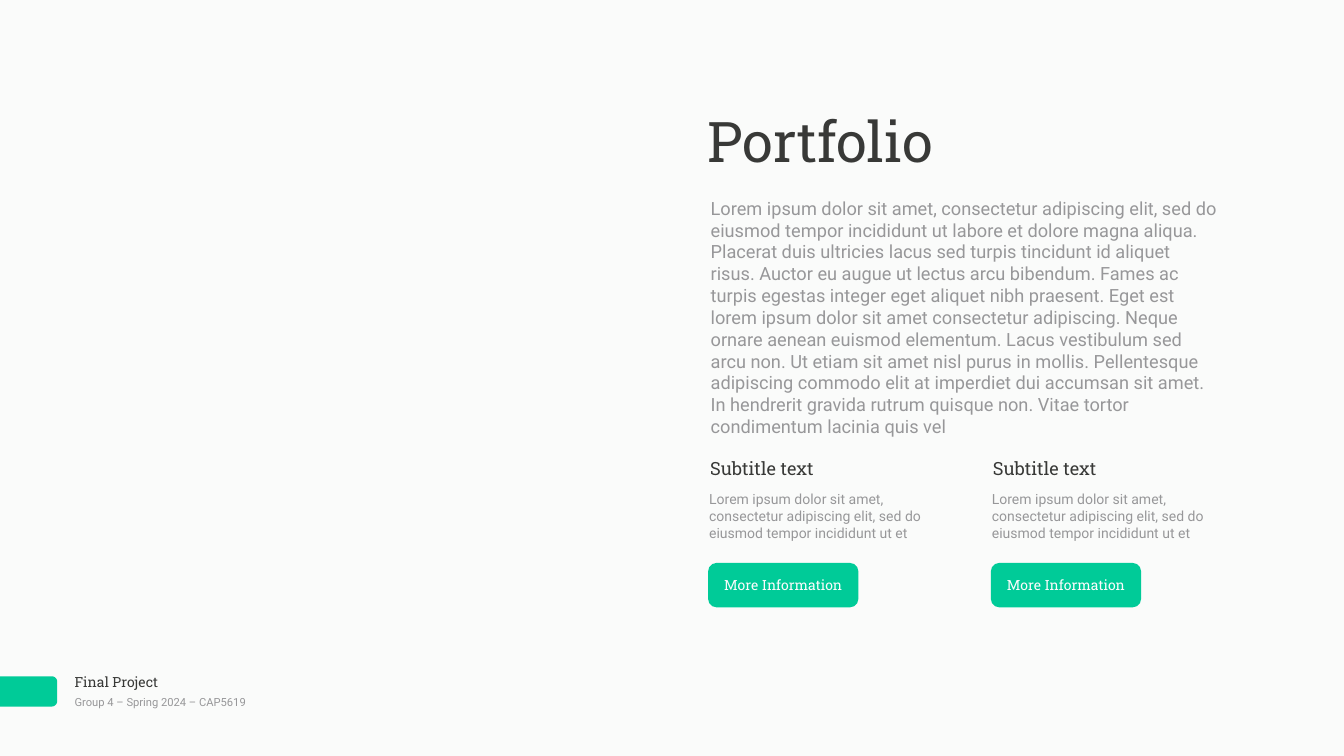
from dataclasses import dataclass
from math import cos, pi, sin

from pptx import Presentation
from pptx.dml.color import RGBColor
from pptx.enum.shapes import MSO_SHAPE
from pptx.enum.text import MSO_ANCHOR, MSO_AUTO_SIZE, PP_ALIGN
from pptx.util import Pt


@dataclass(frozen=True)
class Theme:
    background: RGBColor = RGBColor(0xFA, 0xFB, 0xFA)
    accent: RGBColor = RGBColor(0x00, 0xCB, 0x98)
    dark: RGBColor = RGBColor(0x38, 0x39, 0x37)
    muted: RGBColor = RGBColor(0x97, 0x97, 0x99)
    light: RGBColor = RGBColor(0xFB, 0xFB, 0xFC)
    heading: str = "Roboto Slab"
    body: str = "Roboto"
    title_size: int = 80
    lead_size: int = 26
    text_size: int = 20
    small_size: int = 16


THEME = Theme()

LEAD = (
    "Lorem ipsum dolor sit amet, consectetur adipiscing elit, sed do eiusmod tempor "
    "incididunt ut labore et dolore magna aliqua. Placerat duis ultricies lacus sed "
    "turpis tincidunt id aliquet risus. Auctor eu augue ut lectus arcu bibendum. Fames "
    "ac turpis egestas integer eget aliquet nibh praesent. Eget est lorem ipsum dolor "
    "sit amet consectetur adipiscing. Neque ornare aenean euismod elementum. Lacus "
    "vestibulum sed arcu non. Ut etiam sit amet nisl purus in mollis. Pellentesque "
    "adipiscing commodo elit at imperdiet dui accumsan sit amet. In hendrerit gravida "
    "rutrum quisque non. Vitae tortor condimentum lacinia quis vel"
)
CARDS = [
    ("Subtitle text",
     "Lorem ipsum dolor sit amet, consectetur adipiscing elit, sed do eiusmod tempor "
     "incididunt ut et",
     "More Information"),
] * 2
CARD_LEFT, CARD_STEP = 1008.7, 403.9


def set_attrs(obj, values):
    for name, value in values.items():
        setattr(obj, name, value)


def write(sp, text, font, size, color, align=PP_ALIGN.LEFT, anchor=MSO_ANCHOR.TOP,
          fit=MSO_AUTO_SIZE.SHAPE_TO_FIT_TEXT):
    tf = sp.text_frame
    inset = Pt(4.32)
    set_attrs(tf, {
        "word_wrap": True, "auto_size": fit, "vertical_anchor": anchor,
        "margin_left": inset, "margin_right": inset,
        "margin_top": inset, "margin_bottom": inset,
    })
    p = tf.paragraphs[0]
    p.alignment = align
    r = p.add_run()
    r.text = text
    set_attrs(r.font, {"name": font, "size": Pt(size)})
    r.font.color.rgb = color


def paint(sp):
    sp.shadow.inherit = False
    sp.fill.solid()
    sp.fill.fore_color.rgb = THEME.accent
    sp.line.fill.background()


def add_title(s, text, left, top, width, height):
    sp = s.shapes.title
    set_attrs(sp, {"left": Pt(left), "top": Pt(top),
                   "width": Pt(width), "height": Pt(height)})
    write(sp, text, THEME.heading, THEME.title_size, THEME.dark)


def add_text(s, box, text, font, size, color, **options):
    sp = s.shapes.add_textbox(*map(Pt, box))
    write(sp, text, font, size, color, **options)


def add_button(s, box, text):
    sp = s.shapes.add_shape(MSO_SHAPE.ROUNDED_RECTANGLE, *map(Pt, box))
    sp.adjustments[0] = 0.188
    paint(sp)
    write(sp, text, THEME.heading, THEME.text_size, THEME.light,
          align=PP_ALIGN.CENTER, anchor=MSO_ANCHOR.MIDDLE, fit=MSO_AUTO_SIZE.NONE)


def add_edge_tab(s, left, top, right, bottom, radius, steps=8):
    points = []
    for center_y, start in ((top + radius, -pi / 2), (bottom - radius, 0)):
        for i in range(steps + 1):
            angle = start + pi / 2 * i / steps
            points.append((Pt(right - radius + radius * cos(angle)),
                           Pt(center_y + radius * sin(angle))))
    points.append((Pt(left), Pt(bottom)))
    fb = s.shapes.build_freeform(Pt(left), Pt(top))
    fb.add_line_segments(points, close=True)
    paint(fb.convert_to_shape())


def add_card(s, left, subtitle, text, label):
    add_text(s, (left + 1.5, 649.4, 198, 39.6), subtitle,
             THEME.heading, THEME.lead_size, THEME.dark)
    add_text(s, (left, 697, 337.7, 80), text,
             THEME.body, THEME.text_size, THEME.muted)
    add_button(s, (left + 2.9, 804.2, 214.6, 63.4), label)


def add_footer(s):
    add_edge_tab(s, -7.2, 966.2, 81.8, 1009.4, 8)
    add_text(s, (102.2, 957.6, 229.7, 32.4), "Final Project",
             THEME.heading, THEME.text_size, THEME.dark)
    add_text(s, (102.2, 988.6, 339.8, 27.4), "Group 4 – Spring 2024 – CAP5619",
             THEME.body, THEME.small_size, THEME.muted, anchor=MSO_ANCHOR.MIDDLE)


def main():
    prs = Presentation()
    set_attrs(prs, {"slide_width": Pt(1920), "slide_height": Pt(1080)})
    s = prs.slides.add_slide(prs.slide_layouts[5])
    s.background.fill.solid()
    s.background.fill.fore_color.rgb = THEME.background

    add_footer(s)
    add_title(s, "Portfolio", 1006.6, 148.3, 420, 105.1)
    add_text(s, (1010.9, 277.2, 733, 355), LEAD,
             THEME.body, THEME.lead_size, THEME.muted)
    for i, card in enumerate(CARDS):
        add_card(s, CARD_LEFT + i * CARD_STEP, *card)

    prs.save("out.pptx")


if __name__ == "__main__":
    main()
